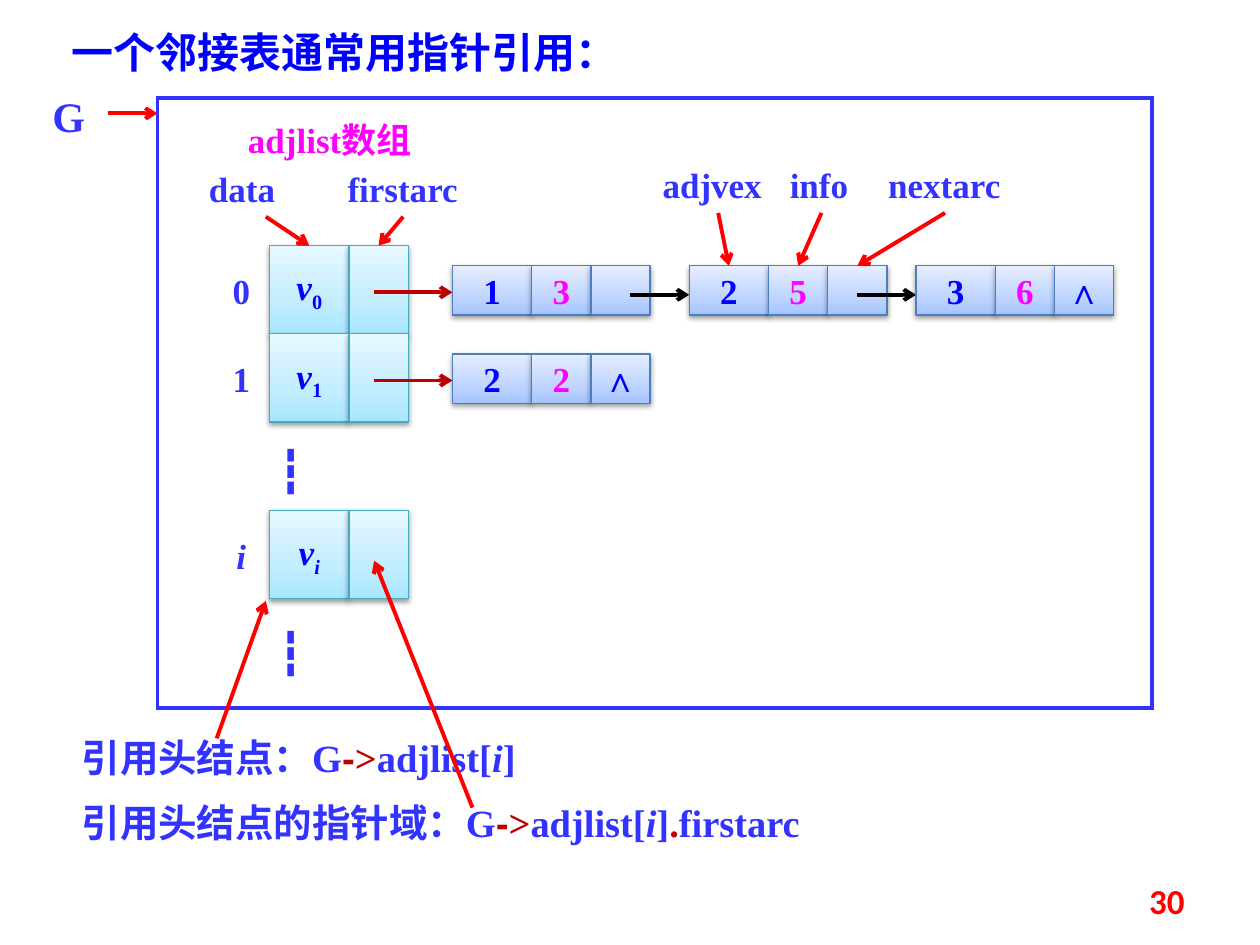
import pptx
import pptx.dml.color
import pptx.enum.dml
import pptx.enum.shapes
import pptx.enum.text
import pptx.oxml
import pptx.oxml.ns
import pptx.util
from collections import namedtuple

Inches = pptx.util.Inches
Pt = pptx.util.Pt
RGBColor = pptx.dml.color.RGBColor
Align = pptx.enum.text.PP_ALIGN
Anchor = pptx.enum.text.MSO_ANCHOR
Box = namedtuple("Box", "left top width height")

BLUE = RGBColor(0x00, 0x00, 0xFF)
INDIGO = RGBColor(0x33, 0x33, 0xFF)
MAGENTA = RGBColor(0xFF, 0x00, 0xFF)
RED = RGBColor(0xFF, 0x00, 0x00)
DARK_RED = RGBColor(0xC0, 0x00, 0x00)
BLACK = RGBColor(0x00, 0x00, 0x00)
WHITE = RGBColor(0xFF, 0xFF, 0xFF)
HEAD_LINE = RGBColor(0x46, 0xAA, 0xC5)
ARC_LINE = RGBColor(0x4B, 0x7E, 0xBC)
HEAD_STOPS = ((0, RGBColor(0xA7, 0xE6, 0xFF)), (35, RGBColor(0xC1, 0xED, 0xFF)),
              (100, RGBColor(0xE7, 0xF8, 0xFF)))
ARC_STOPS = ((0, RGBColor(0xA4, 0xC4, 0xFF)), (35, RGBColor(0xBF, 0xD4, 0xFF)),
             (100, RGBColor(0xE6, 0xEE, 0xFF)))

SERIF = "Times New Roman"
CJK = "Noto Sans CJK SC"
WIDE, NARROW = 0.63, 0.47
HEAD_HEIGHT, ARC_HEIGHT = 0.7, 0.39
ROW_PITCH = 0.7
NO_MARGINS = dict(margin_left=0, margin_top=0, margin_right=0, margin_bottom=0)


def apply(target, values):
    for key, value in values.items():
        setattr(target, key, value)


def dml(markup):
    start, rest = markup.split(" ", 1)
    return pptx.oxml.parse_xml(f"{start} {pptx.oxml.ns.nsdecls('a')} {rest}")


def lengths(box):
    return [Inches(value) for value in box]


def write(shape, runs, color, size=20, align=Align.LEFT, **frame_format):
    frame = shape.text_frame
    apply(frame, {"word_wrap": True, **frame_format})
    paragraph = frame.paragraphs[0]
    paragraph.alignment = align
    for text, changes in runs:
        changes = dict(changes)
        run = paragraph.add_run()
        run.text = text
        run.font.color.rgb = changes.pop("color", color)
        baseline = changes.pop("baseline", None)
        apply(run.font, {"name": SERIF, "size": Pt(size), "bold": True, **changes})
        properties = run.font._element
        if baseline:
            properties.set("baseline", str(baseline))
        if any(ord(letter) > 0x2E80 for letter in text):
            properties.find(pptx.oxml.ns.qn("a:latin")).addnext(dml(f'<a:ea typeface="{CJK}"/>'))


def label(slide, box, text, color=INDIGO, run_format=None, **text_format):
    textbox = slide.shapes.add_textbox(*lengths(box))
    write(textbox, [(text, run_format or {})], color, **text_format)
    return textbox


def arrow(slide, start, end, color, target=None):
    connector = slide.shapes.add_connector(
        pptx.enum.shapes.MSO_CONNECTOR.STRAIGHT, *lengths(start + end))
    if target is not None:
        connector.end_connect(target, 0)
    connector.line.color.rgb = color
    connector.line.width = Pt(2.25)
    connector.line._get_or_add_ln().append(dml('<a:tailEnd type="arrow" />'))
    connector._element.spPr.append(dml("<a:effectLst />"))


def cell(slide, box, stops, outline, runs=(), color=BLUE):
    shape = slide.shapes.add_shape(pptx.enum.shapes.MSO_SHAPE.RECTANGLE, *lengths(box))
    shape.fill.gradient()
    shape.fill.gradient_angle = 90
    stop_list = shape._element.spPr.find(".//" + pptx.oxml.ns.qn("a:gsLst"))
    for old_stop in list(stop_list):
        stop_list.remove(old_stop)
    for position, stop_color in stops:
        stop_list.append(dml(f'<a:gs pos="{position * 1000}"><a:srgbClr val="{stop_color}"/></a:gs>'))
    shape.line.color.rgb = outline
    shape.line.width = Pt(0.75)
    shape.shadow.inherit = False
    shape._element.spPr.find(pptx.oxml.ns.qn("a:effectLst")).append(dml(
        '<a:outerShdw blurRad="39370" dist="20320" dir="5400000" rotWithShape="0">'
        '<a:srgbClr val="000000"><a:alpha val="38000"/></a:srgbClr></a:outerShdw>'))
    write(shape, runs, color, align=Align.CENTER, word_wrap=False, vertical_anchor=Anchor.MIDDLE)
    return shape


def head_node(slide, box, index, italic):
    vertex = [("v", dict(italic=True)), (index, dict(italic=italic, baseline=-25000))]
    data = cell(slide, Box(box.left, box.top, WIDE, box.height), HEAD_STOPS, HEAD_LINE, vertex)
    firstarc = cell(slide, Box(box.left + WIDE, box.top, NARROW, box.height), HEAD_STOPS, HEAD_LINE)
    label(slide, Box(box.left - 0.42, box.top + 0.19, 0.39, 0.34), index,
          run_format=dict(italic=italic), align=Align.CENTER, **NO_MARGINS)
    return data, firstarc


def arc_node(slide, box, values, arrow_length, arrow_drop, arrow_color):
    adjvex, info, nextarc = values
    y = box.top + arrow_drop
    arrow(slide, (box.left - arrow_length, y), (box.left, y), arrow_color)
    parts = ((0, WIDE, adjvex, BLUE), (WIDE, NARROW, info, MAGENTA),
             (WIDE + NARROW, NARROW, nextarc, BLUE))
    return [cell(slide, Box(box.left + offset, box.top, width, box.height), ARC_STOPS, ARC_LINE,
                 [(text, {})] if text else (), color)
            for offset, width, text, color in parts]


def arc_list(slide, box, nodes):
    cells = []
    left = box.left
    for position, values in enumerate(nodes):
        link = (0.47, 0.23, BLACK) if position else (0.62, 0.21, DARK_RED)
        cells.append(arc_node(slide, Box(left, box.top, WIDE + 2 * NARROW, box.height), values, *link))
        left += WIDE + 2 * NARROW + (0.23 if position else 0.31)
    return cells


def field_labels(slide, box, fields):
    for text, offset, width, tail, tip, target in fields:
        label(slide, Box(box.left + offset, box.top, width, box.height), text)
        arrow(slide, (box.left + tail, box.top + box.height),
              (box.left + tip, target.top / Inches(1)), RED, target)


def graph_frame(slide, box):
    frame = slide.shapes.add_shape(pptx.enum.shapes.MSO_SHAPE.RECTANGLE, *lengths(box))
    frame.fill.background()
    frame.line.color.rgb = INDIGO
    frame.line.width = Pt(2.25)
    frame.line._get_or_add_ln().append(dml('<a:miter lim="800000"/>'))
    frame.shadow.inherit = False
    label(slide, Box(box.left - 1.02, box.top - 0.11, 0.63, 0.5), "G", size=24, align=Align.CENTER)
    arrow(slide, (box.left - 0.39, box.top + 0.12), (box.left, box.top + 0.12), RED)


def adjacency_list(slide, box):
    left, top = box.left + 0.89, box.top + 1.17
    head_width = WIDE + NARROW
    heads = [head_node(slide, Box(left, top + row * ROW_PITCH, head_width, HEAD_HEIGHT), index, italic)
             for row, index, italic in ((0, "0", False), (1, "1", False), (3, "i", True))]
    chains = ([("1", "3", ""), ("2", "5", ""), ("3", "6", "∧")], [("2", "2", "∧")])
    lists = [arc_list(slide, Box(left + 1.45, top + 0.16 + row * ROW_PITCH, 5.24, ARC_HEIGHT), nodes)
             for row, nodes in enumerate(chains)]
    data, firstarc = heads[0]
    adjvex, info, nextarc = lists[0][1]
    field_labels(slide, Box(box.left + 0.31, box.top + 0.5, 2.19, 0.44), (
        ("data", 0, 1.09, 0.55, 0.89, data), ("firstarc", 1.1, 1.09, 1.64, 1.44, firstarc)))
    field_labels(slide, Box(box.left + 3.91, box.top + 0.47, 2.88, 0.44), (
        ("adjvex", 0, 1.09, 0.54, 0.62, adjvex), ("info", 1.01, 0.7, 1.36, 1.17, info),
        ("nextarc", 1.79, 1.09, 2.34, 1.64, nextarc)))
    for offset in (2.7, 4.14):
        label(slide, Box(box.left + 0.86, box.top + offset, 0.55, 0.5), "┇", size=24)
    graph_frame(slide, box)
    label(slide, Box(box.left + 0.62, box.top + 0.11, 1.7, 0.44), "adjlist数组", MAGENTA)


def reference(slide, box, caption, ending, start, end):
    expression = [(caption, {}), ("G", {}), ("-", dict(name="Arial", color=DARK_RED)),
                  (">", dict(color=DARK_RED)), ("adjlist[", {}), ("i", dict(italic=True)), ("]", {})]
    textbox = slide.shapes.add_textbox(*lengths(box))
    write(textbox, expression + ending, INDIGO, size=22)
    arrow(slide, (box.left + start[0], box.top + start[1]), end, RED)


def heading(slide, box):
    title = label(slide, box, "一个邻接表通常用指针引用：", BLUE, dict(name=CJK), size=24)
    title.fill.solid()
    title.fill.fore_color.rgb = WHITE


def main():
    deck = pptx.Presentation()
    apply(deck, dict(slide_width=Inches(10), slide_height=Inches(7.5)))
    slide = deck.slides.add_slide(deck.slide_layouts[6])
    heading(slide, Box(0.47, 0.16, 4.69, 0.5))
    adjacency_list(slide, Box(1.25, 0.78, 7.89, 4.84))
    reference(slide, Box(0.55, 5.78, 5, 0.47), "引用头结点：", [], (1.17, 0.08), (2.11, 4.77))
    reference(slide, Box(0.55, 6.29, 7.27, 0.47), "引用头结点的指针域：",
              [(".", dict(color=DARK_RED)), ("firstarc", {})], (3.2, 0.12), (2.97, 4.45))
    label(slide, Box(7.17, 6.95, 2.33, 0.4), "30", RED, dict(name="Calibri"),
          align=Align.RIGHT, vertical_anchor=Anchor.MIDDLE)
    deck.save("out.pptx")


if __name__ == "__main__":
    main()
